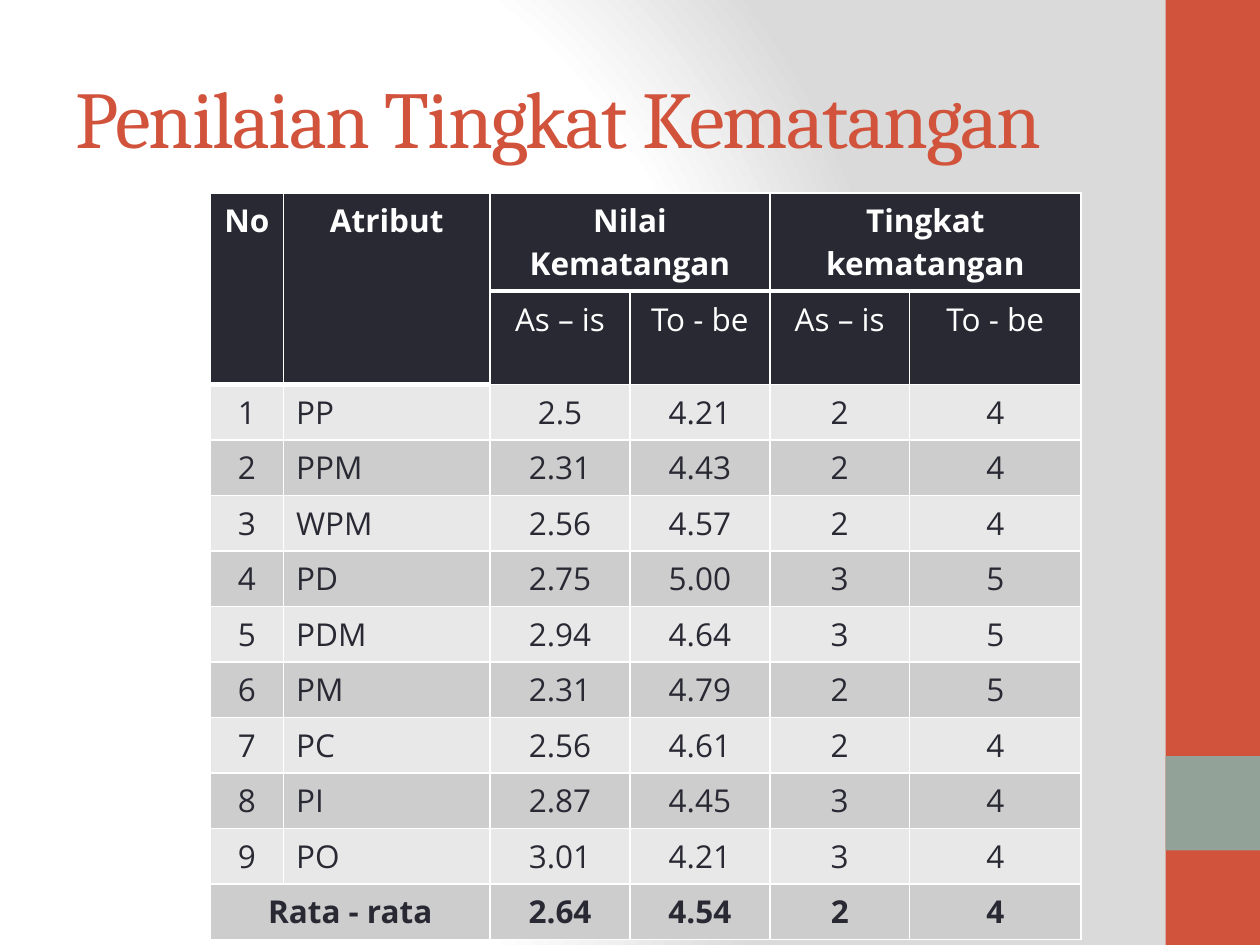
from typing import NamedTuple

from pptx import Presentation
from pptx.dml.color import RGBColor
from pptx.enum.shapes import MSO_SHAPE as Shape
from pptx.enum.text import MSO_ANCHOR as Anchor, PP_ALIGN as Align
from pptx.oxml import parse_xml
from pptx.oxml.ns import nsdecls
from pptx.util import Inches, Pt

COLORS = {
    "accent": "D2533C",
    "sage": "93A299",
    "dark": "292934",
    "white": "FFFFFF",
    "shade": "DADADA",
    "light_row": "E8E8E8",
    "dark_row": "CDCDCE",
}
COLUMN_WIDTHS = [0.58, 1.64, 1.11, 1.11, 1.11, 1.36]
ROW_HEIGHTS = [0.78, 0.74] + [0.44] * 10
ROWS = [
    ["No", "Atribut", "Nilai Kematangan", "", "Tingkat kematangan", ""],
    ["", "", "As – is", "To - be", "As – is", "To - be"],
    ["1", "PP", "2.5", "4.21", "2", "4"],
    ["2", "PPM", "2.31", "4.43", "2", "4"],
    ["3", "WPM", "2.56", "4.57", "2", "4"],
    ["4", "PD", "2.75", "5.00", "3", "5"],
    ["5", "PDM", "2.94", "4.64", "3", "5"],
    ["6", "PM", "2.31", "4.79", "2", "5"],
    ["7", "PC", "2.56", "4.61", "2", "4"],
    ["8", "PI", "2.87", "4.45", "3", "4"],
    ["9", "PO", "3.01", "4.21", "3", "4"],
    ["Rata - rata", "", "2.64", "4.54", "2", "4"],
]
LAST = len(ROWS) - 1
MERGES = [
    ((0, 0), (1, 0)),
    ((0, 1), (1, 1)),
    ((0, 2), (0, 3)),
    ((0, 4), (0, 5)),
    ((LAST, 0), (LAST, 1)),
]


class Band(NamedTuple):
    top: float
    height: float
    color: str


BANDS = [Band(0, 7.5, "accent"), Band(6, 0.75, "sage")]


def rgb(name: str) -> RGBColor:
    return RGBColor.from_string(COLORS[name])


def style_font(font, color: str, **values) -> None:
    font.color.rgb = rgb(color)
    for name, value in values.items():
        setattr(font, name, value)


def set_background(page) -> None:
    stops = "".join(
        f'<a:gs pos="{place * 1000}"><a:srgbClr val="{COLORS[name]}"/></a:gs>'
        for place, name in [(0, "white"), (75, "white"), (100, "shade")]
    )
    background = parse_xml(
        f'<p:bg {nsdecls("p", "a")}><p:bgPr><a:gradFill><a:gsLst>{stops}</a:gsLst>'
        '<a:path path="circle"><a:fillToRect l="20000" t="50000" r="100000" b="50000"/>'
        "</a:path></a:gradFill><a:effectLst/></p:bgPr></p:bg>"
    )
    page.element.cSld.insert(0, background)


def draw_band(page, band: Band) -> None:
    box = page.shapes.add_shape(
        Shape.RECTANGLE, Inches(9.25), Inches(band.top), Inches(0.75), Inches(band.height)
    )
    box.shadow.inherit = False
    box.fill.solid()
    box.fill.fore_color.rgb = rgb(band.color)
    box.line.fill.background()


def draw_title(page, text: str) -> None:
    title = page.shapes.title
    place = {"left": 0.5, "top": 0.3, "width": 8.33, "height": 1.25}
    for name, value in place.items():
        setattr(title, name, Inches(value))
    frame = title.text_frame
    frame.word_wrap = True
    frame.vertical_anchor = Anchor.MIDDLE
    para = frame.paragraphs[0]
    para.alignment = Align.LEFT
    span = para.add_run()
    span.text = text
    style_font(span.font, "accent", name="Cambria", size=Pt(46))
    span.font._element.set("spc", "-100")


def has_thick_bottom(row: int, column: int) -> bool:
    return row == 0 or (row == 1 and column < 2)


def set_borders(cell, top: int, bottom: int) -> None:
    properties = cell._tc.get_or_add_tcPr()
    widths = {"lnL": 1, "lnR": 1, "lnT": top, "lnB": bottom}
    for index, (edge, width) in enumerate(widths.items()):
        line = parse_xml(
            f'<a:{edge} {nsdecls("a")} w="{Pt(width)}"><a:solidFill>'
            f'<a:srgbClr val="{COLORS["white"]}"/></a:solidFill></a:{edge}>'
        )
        properties.insert(index, line)


def fill_cell(cell, text: str, row: int, column: int) -> None:
    header = row < 2
    stripe = "dark_row" if row % 2 else "light_row"
    cell.fill.solid()
    cell.fill.fore_color.rgb = rgb("dark" if header else stripe)
    below_thick = row > 0 and has_thick_bottom(row - 1, column)
    set_borders(cell, 3 if below_thick else 1, 3 if has_thick_bottom(row, column) else 1)
    para = cell.text_frame.paragraphs[0]
    para.alignment = Align.LEFT if column == 1 and not header else Align.CENTER
    color = "white" if header else "dark"
    values = {"name": "Open Sans", "size": Pt(18), "bold": row in (0, LAST)}
    if text:
        span = para.add_run()
        span.text = text
        style_font(span.font, color, **values)


def draw_table(page) -> None:
    table = page.shapes.add_table(
        len(ROWS), len(COLUMN_WIDTHS), Inches(1.67), Inches(1.53),
        Inches(sum(COLUMN_WIDTHS)), Inches(sum(ROW_HEIGHTS)),
    ).table
    for column, width in zip(table.columns, COLUMN_WIDTHS):
        column.width = Inches(width)
    for row, height in zip(table.rows, ROW_HEIGHTS):
        row.height = Inches(height)
    for row, texts in enumerate(ROWS):
        for column, text in enumerate(texts):
            fill_cell(table.cell(row, column), text, row, column)
    for first, last in MERGES:
        table.cell(*first).merge(table.cell(*last))


def main() -> None:
    deck = Presentation()
    deck.slide_width, deck.slide_height = Inches(10), Inches(7.5)
    page = deck.slides.add_slide(deck.slide_layouts[5])
    set_background(page)
    for band in BANDS:
        draw_band(page, band)
    draw_title(page, "Penilaian Tingkat Kematangan")
    draw_table(page)
    deck.save("out.pptx")


if __name__ == "__main__":
    main()
